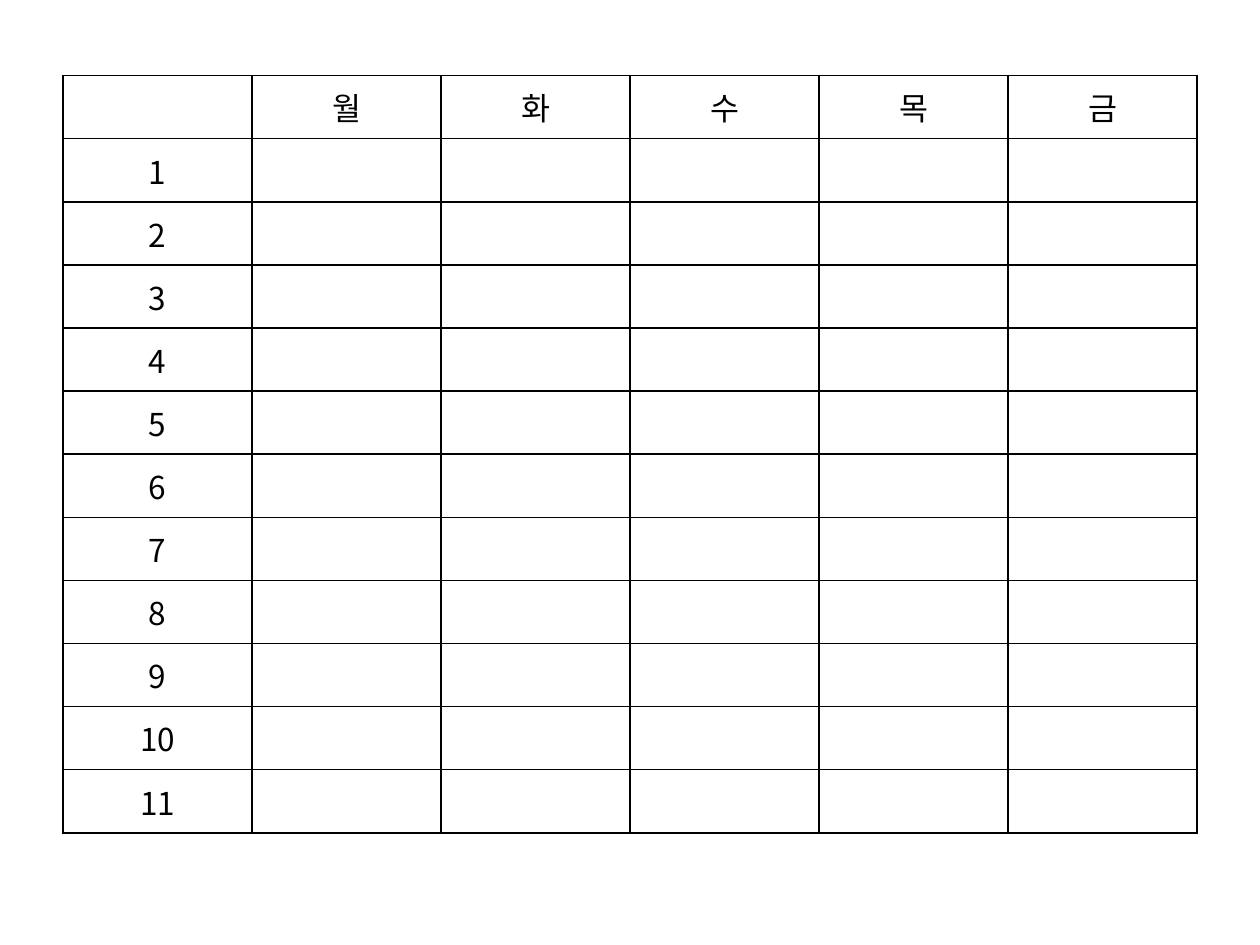
from lxml import etree
from pptx import Presentation
from pptx.dml.color import RGBColor
from pptx.enum import text
from pptx.oxml import ns
from pptx.util import Inches, Pt

BLACK = RGBColor(0x00, 0x00, 0x00)
WHITE = RGBColor(0xFF, 0xFF, 0xFF)
FONT = "Noto Sans CJK KR"
DAYS = ["월", "화", "수", "목", "금"]
PERIODS = 11


def set_borders(cell, color, width):
    """Draw a solid line on all four sides; lines must precede the fill."""
    properties = cell._tc.get_or_add_tcPr()
    for index, side in enumerate(("a:lnL", "a:lnR", "a:lnT", "a:lnB")):
        line = etree.Element(ns.qn(side), w=str(width))
        fill = etree.SubElement(line, ns.qn("a:solidFill"))
        etree.SubElement(fill, ns.qn("a:srgbClr"), val=str(color))
        properties.insert(index, line)


def write_label(cell, label):
    cell.text_frame.text = label
    para = cell.text_frame.paragraphs[0]
    para.alignment = text.PP_ALIGN.CENTER
    for span in para.runs:
        span.font.size = Pt(18)
        span.font.name = FONT
        span.font.color.rgb = BLACK
        # Hangul takes the East Asian typeface
        east_asian = etree.SubElement(span.font._element, ns.qn("a:ea"))
        east_asian.set("typeface", FONT)


def add_timetable(page, left, top, width, height):
    frame = page.shapes.add_table(
        PERIODS + 1, len(DAYS) + 1, left, top, width, height)
    table = frame.table
    table.first_row = table.horz_banding = False

    # Labels: days across the top, periods down the side
    for column, day in enumerate(DAYS, 1):
        write_label(table.cell(0, column), day)
    for row in range(1, PERIODS + 1):
        write_label(table.cell(row, 0), str(row))

    # Grid: white lesson cells, unfilled labels, black lines
    for row in range(PERIODS + 1):
        for column in range(len(DAYS) + 1):
            cell = table.cell(row, column)
            cell.vertical_anchor = text.MSO_ANCHOR.MIDDLE
            if row and column:
                cell.fill.solid()
                cell.fill.fore_color.rgb = WHITE
            else:
                cell.fill.background()
            set_borders(cell, BLACK, Pt(1))


def main():
    deck = Presentation()
    deck.slide_width, deck.slide_height = Inches(10), Inches(7.5)
    page = deck.slides.add_slide(deck.slide_layouts[6])
    page.background.fill.solid()
    page.background.fill.fore_color.rgb = WHITE
    add_timetable(page, Inches(0.5), Inches(0.6), Inches(9), Inches(6.01))
    deck.save("out.pptx")


if __name__ == "__main__":
    main()
